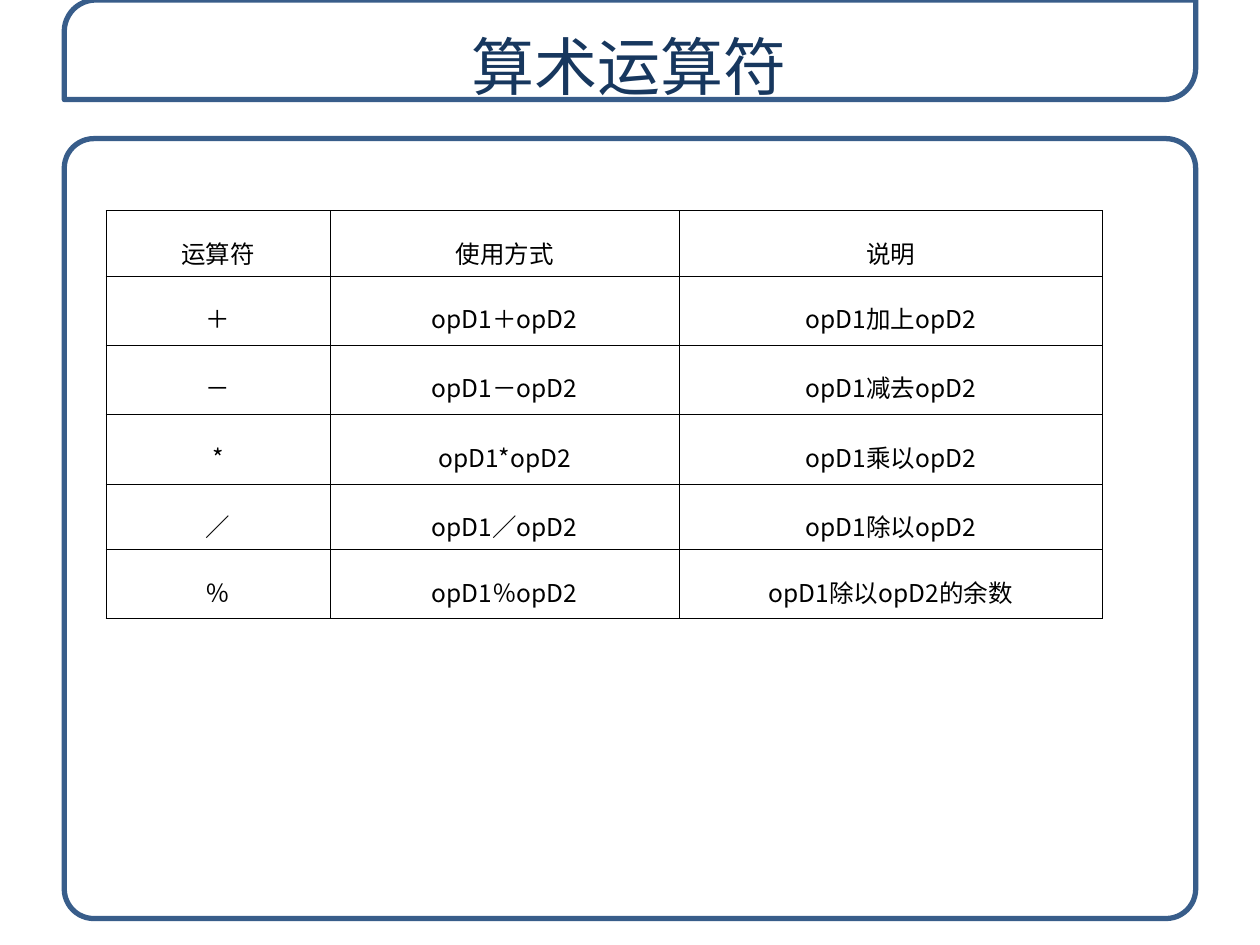
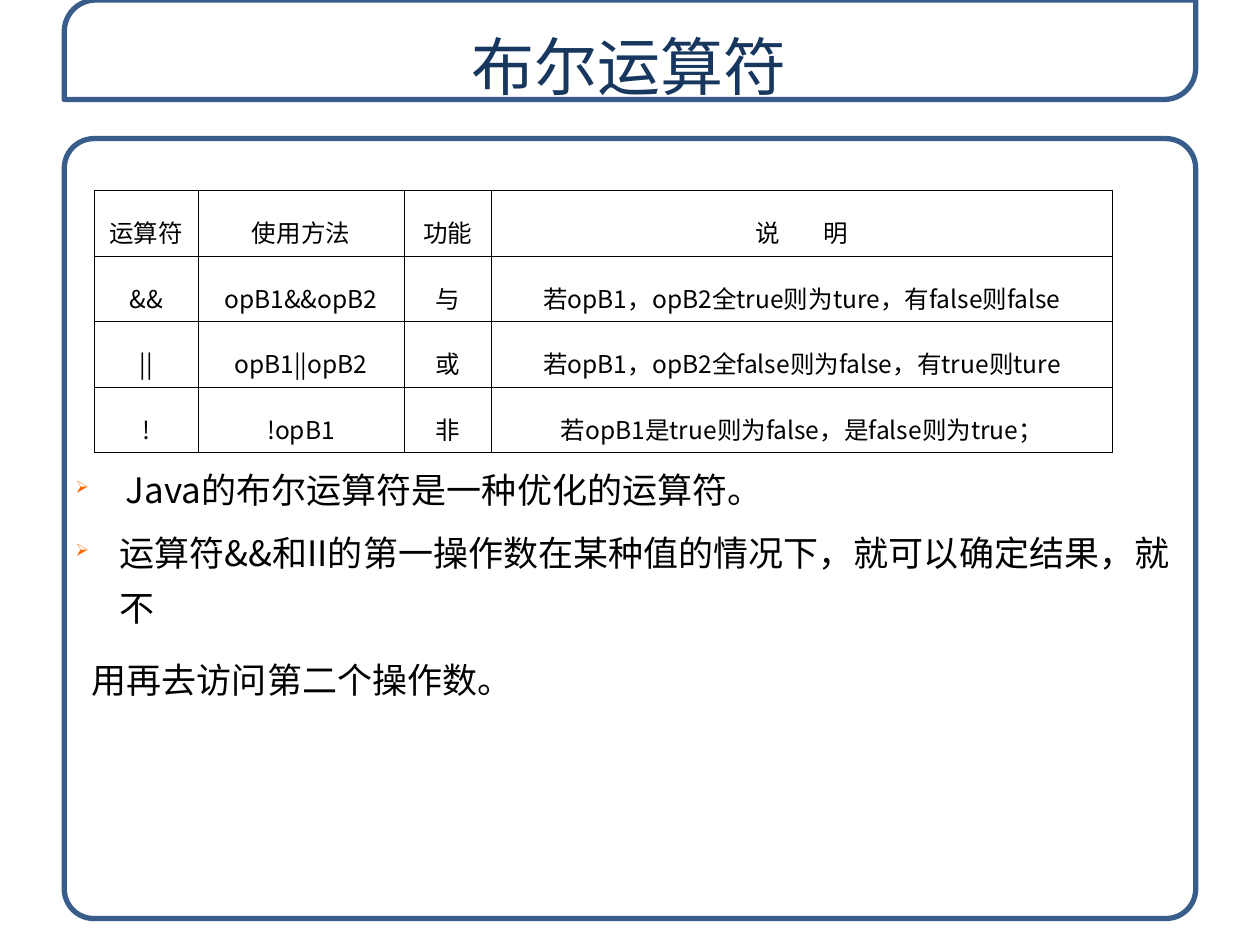
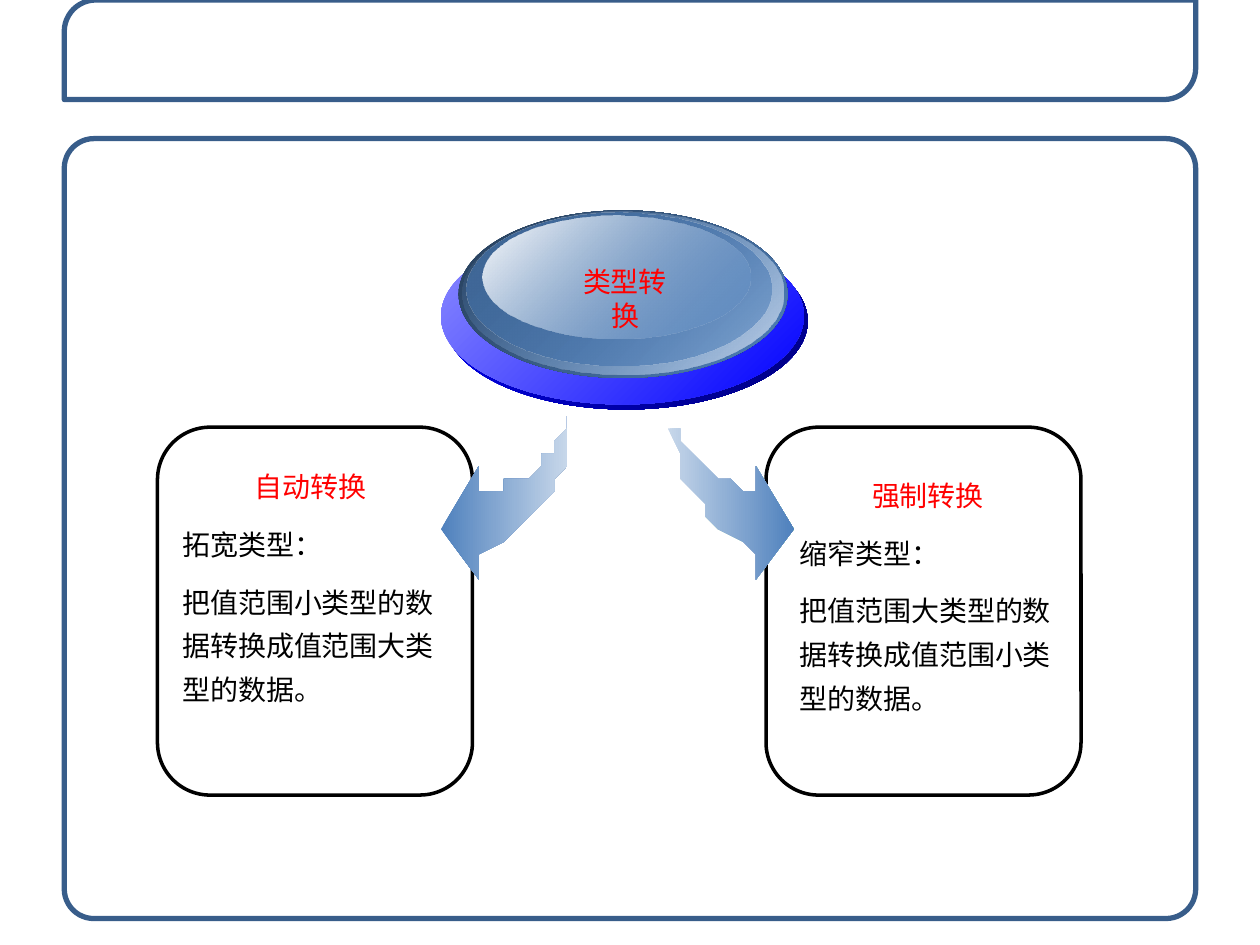
"""Build three slides on operators and type conversion."""
from lxml.etree import SubElement
from pptx import Presentation
from pptx.dml.color import RGBColor
from pptx.enum.shapes import MSO_SHAPE as Shape
from pptx.enum.text import MSO_ANCHOR as Anchor, PP_ALIGN as Align
from pptx.oxml.ns import qn
from pptx.util import Inches, Pt

COLORS = {
    "white": "FFFFFF", "black": "000000", "frame": "385D8A", "title": "17375E",
    "accent": "FF0000", "bullet": "FF6600", "steel": "4F81BD", "pale": "C7D7EA",
    "mist": "C2D3E8", "slate": "3F6696", "deep": "253C57",
    "blue": "0000FF", "navy": "00007C", "lilac": "8E8EFF",
}
FONT = "Noto Sans CJK SC"
WIDTH, HEIGHT = Inches(10), Inches(7.5)
COLUMN, ROW = WIDTH / 100, HEIGHT / 75
MIRROR = 98.4

ARITHMETIC = [
    ("运算符", "使用方式", "说明"),
    ("＋", "opD1＋opD2", "opD1加上opD2"),
    ("－", "opD1－opD2", "opD1减去opD2"),
    ("*", "opD1*opD2", "opD1乘以opD2"),
    ("／", "opD1／opD2", "opD1除以opD2"),
    ("％", "opD1％opD2", "opD1除以opD2的余数"),
]
BOOLEAN = [
    ("运算符", "使用方法", "功能", "说 明"),
    ("&&", "opB1&&opB2", "与", "若opB1，opB2全true则为ture，有false则false"),
    ("||", "opB1||opB2", "或", "若opB1，opB2全false则为false，有true则ture"),
    ("!", "!opB1", "非", "若opB1是true则为false，是false则为true；"),
]
ARROW = [
    (45.1, 32.8), (45.1, 34.3), (44.9, 35.8), (44.6, 37.1), (44.2, 38.3), (43.7, 39.4),
    (42.9, 40.5), (42.1, 41.4), (41.1, 42.3), (39.8, 43.2), (38.4, 44), (38.4, 46.4),
    (35.2, 41.5), (38.4, 36.7), (38.4, 39.1), (39.1, 39.1), (39.7, 38.9), (40.5, 38.5),
    (41.2, 38.1), (41.9, 37.6), (42.6, 37), (43.3, 36.3), (43.9, 35.6), (44.4, 34.9),
    (44.7, 34.2), (45, 33.5),
]
DISC = [
    ((35.3, 18.5, 28.8, 14), ("blue", 100), ("navy", 100)),
    ((35, 18.1, 28.8, 14), ("lilac", 100), ("blue", 100)),
    ((36.4, 16.7, 26.1, 13.3), ("deep", 100), ("steel", 100)),
    ((36.7, 16.8, 25.5, 12.9), ("steel", 0), ("mist", 100)),
    ((37, 16.9, 24.2, 12.1), ("slate", 100), ("steel", 48)),
    ((38.3, 17.1, 21.3, 9.8), ("white", 100), ("steel", 38)),
]


def rgb(name):
    """Return the named colour."""
    return RGBColor.from_string(COLORS[name])


def place(left, top, width, height):
    """Turn grid columns and rows into lengths."""
    return (round(left * COLUMN), round(top * ROW),
            round(width * COLUMN), round(height * ROW))


def set_opacity(shape, values):
    """Give each fill colour of a shape its opacity in percent."""
    for color, value in zip(shape._element.spPr.iter(qn("a:srgbClr")), values):
        if value < 100:
            SubElement(color, qn("a:alpha"), val=str(value * 1000))


def paint_gradient(shape, start, end, angle=0):
    """Fill a shape with a two-stop gradient and no outline."""
    shape.shadow.inherit = False
    shape.fill.gradient()
    shape.fill.gradient_angle = angle
    for stop, (name, _) in zip(shape.fill.gradient_stops, (start, end)):
        stop.color.rgb = rgb(name)
    set_opacity(shape, (start[1], end[1]))
    shape.line.fill.background()


def add_frame(slide, kind, area, corner, line, weight, fill=None):
    """Add an outlined shape with rounded corners."""
    frame = slide.shapes.add_shape(kind, *place(*area))
    frame.shadow.inherit = False
    frame.adjustments[0] = corner
    if fill:
        frame.fill.solid()
        frame.fill.fore_color.rgb = rgb(fill)
        set_opacity(frame, [85])
    else:
        frame.fill.background()
    frame.line.color.rgb = rgb(line)
    frame.line.width = Pt(weight)


def write(para, text, size=16, color="black", align=Align.LEFT, spacing=1.0,
          before=0, after=0, margin=0, bullet=None):
    """Write one formatted paragraph and return its run."""
    para.alignment = align
    para.line_spacing = spacing
    para.space_before, para.space_after = Pt(before), Pt(after)
    props = para._p.get_or_add_pPr()
    props.set("marL", str(Inches(margin)))
    props.set("indent", str(-Inches(margin) if bullet else 0))
    if bullet:
        tint = SubElement(props, qn("a:buClr"))
        SubElement(tint, qn("a:srgbClr"), val=COLORS["bullet"])
        SubElement(props, qn("a:buSzPct"), val="50000")
        SubElement(props, qn("a:buChar"), char=bullet)
    span = para.add_run()
    span.text = text
    span.font.size = Pt(size)
    span.font.name = FONT
    span.font.color.rgb = rgb(color)
    SubElement(span._r.get_or_add_rPr(), qn("a:ea"), typeface=FONT)
    return span


def add_text(slide, area, items, anchor=Anchor.TOP, wrap=True, **common):
    """Add a text box from pairs of text and paragraph format."""
    frame = slide.shapes.add_textbox(*place(*area)).text_frame
    frame.word_wrap = wrap
    frame.vertical_anchor = anchor
    gap = common.pop("gap", 0)
    for index, (text, style) in enumerate(items):
        para = frame.add_paragraph() if index else frame.paragraphs[0]
        write(para, text, before=gap if index else 0, after=gap, **{**common, **style})


def add_borders(cell):
    """Draw thin black lines round a table cell."""
    props = cell._tc.get_or_add_tcPr()
    for side in ("a:lnL", "a:lnR", "a:lnT", "a:lnB"):
        line = SubElement(props, qn(side), w=str(Pt(0.25)))
        fill = SubElement(line, qn("a:solidFill"))
        SubElement(fill, qn("a:srgbClr"), val=COLORS["black"])


def add_grid(slide, left, top, columns, rows, content, anchor=Anchor.TOP, side=0.1):
    """Add a bordered table and return it."""
    area = place(left, top, sum(columns), sum(rows))
    table = slide.shapes.add_table(len(rows), len(columns), *area).table
    table.first_row = table.horz_banding = False
    for column, width in zip(table.columns, columns):
        column.width = round(width * COLUMN)
    for row, height, texts in zip(table.rows, rows, content):
        row.height = round(height * ROW)
        for cell, text in zip(row.cells, texts):
            add_borders(cell)
            cell.fill.background()
            cell.vertical_anchor = anchor
            cell.margin_left = cell.margin_right = Inches(side)
            write(cell.text_frame.paragraphs[0], text, size=14,
                  align=Align.CENTER, spacing=1.5)
    return table


def spread_heading(cell, gap):
    """Widen the space between the characters of a heading."""
    for span in cell.text_frame.paragraphs[0].runs:
        span.font._element.set("spc", str(gap * 100))


def add_arrow(slide, points, start, end):
    """Add a curved arrow with a horizontal gradient."""
    builder = slide.shapes.build_freeform(*points[0], scale=(COLUMN, ROW))
    builder.add_line_segments(points[1:], close=True)
    paint_gradient(builder.convert_to_shape(), (start, 100), (end, 100))


def add_card(slide, left, area, heading, kind, detail):
    """Add a rounded card with its heading and explanation."""
    add_frame(slide, Shape.ROUNDED_RECTANGLE, (left, 33.9, 25, 29.2), 0.167, "black", 2)
    items = [(heading, {"color": "accent", "align": Align.CENTER}), (kind, {}), (detail, {})]
    add_text(slide, area, items, spacing=1.3, gap=4)


def add_page(deck, title=None):
    """Add a slide with the shared frames and its title."""
    slide = deck.slides.add_slide(deck.slide_layouts[6])
    add_frame(slide, Shape.ROUNDED_RECTANGLE, (5.1, 11, 89.8, 61.9), 0.038,
              "frame", 3, "white")
    add_frame(slide, Shape.ROUND_2_DIAG_RECTANGLE, (5.1, 0, 89.8, 7.9), 0.316,
              "frame", 3, "white")
    if title:
        add_text(slide, (5.1, 1.4, 89.7, 7.6), [(title, {})], anchor=Anchor.MIDDLE,
                 size=36, color="title", align=Align.CENTER)
    return slide


def build_arithmetic(deck):
    """Build the slide on arithmetic operators."""
    slide = add_page(deck, "算术运算符")
    add_grid(slide, 8.4, 16.7, (17.8, 27.7, 33.6), (5.2, 5.5, 5.5, 5.5, 5.2, 5.5), ARITHMETIC)


def build_boolean(deck):
    """Build the slide on Boolean operators."""
    slide = add_page(deck, "布尔运算符")
    table = add_grid(slide, 7.5, 15.1, (8.2, 16.4, 6.9, 49.3), (5.2,) * 4, BOOLEAN,
                     anchor=Anchor.MIDDLE, side=0.05)
    spread_heading(table.cell(0, 3), 11)
    add_text(slide, (5, 35, 90.8, 6),
             [("Java的布尔运算符是一种优化的运算符。", {"margin": 0.4, "bullet": "➢"})],
             size=20, spacing=1.5, gap=5)
    add_text(slide, (5, 40.7, 90.8, 15.4), [
        ("运算符&&和II的第一操作数在某种值的情况下，就可以确定结果，就不",
         {"margin": 0.35, "bullet": "➢"}),
        ("用再去访问第二个操作数。", {"margin": 0.13}),
    ], size=20, spacing=1.3, gap=5)


def build_conversion(deck):
    """Build the slide on type conversion."""
    slide = add_page(deck)
    add_card(slide, 60.8, (62.5, 36.7, 22.3, 20.6), "强制转换", "缩窄类型：",
             "把值范围大类型的数据转换成值范围小类型的数据。")
    add_card(slide, 12.5, (13.5, 36, 22.3, 21.1), "自动转换", "拓宽类型：",
             "把值范围小类型的数据转换成值范围大类型的数据。")
    add_arrow(slide, ARROW, "steel", "pale")
    add_arrow(slide, [(MIRROR - x, y) for x, y in ARROW], "pale", "steel")
    for area, start, end in DISC:
        disc = slide.shapes.add_shape(Shape.OVAL, *place(*area))
        paint_gradient(disc, start, end, angle=315)
    add_text(slide, (44.2, 20.5, 10.8, 3.7), [("类型转换", {})], wrap=False,
             color="accent", align=Align.CENTER)


def main():
    """Build and save the deck."""
    deck = Presentation()
    deck.slide_width, deck.slide_height = WIDTH, HEIGHT
    build_arithmetic(deck)
    build_boolean(deck)
    build_conversion(deck)
    deck.save("out.pptx")


if __name__ == "__main__":
    main()
